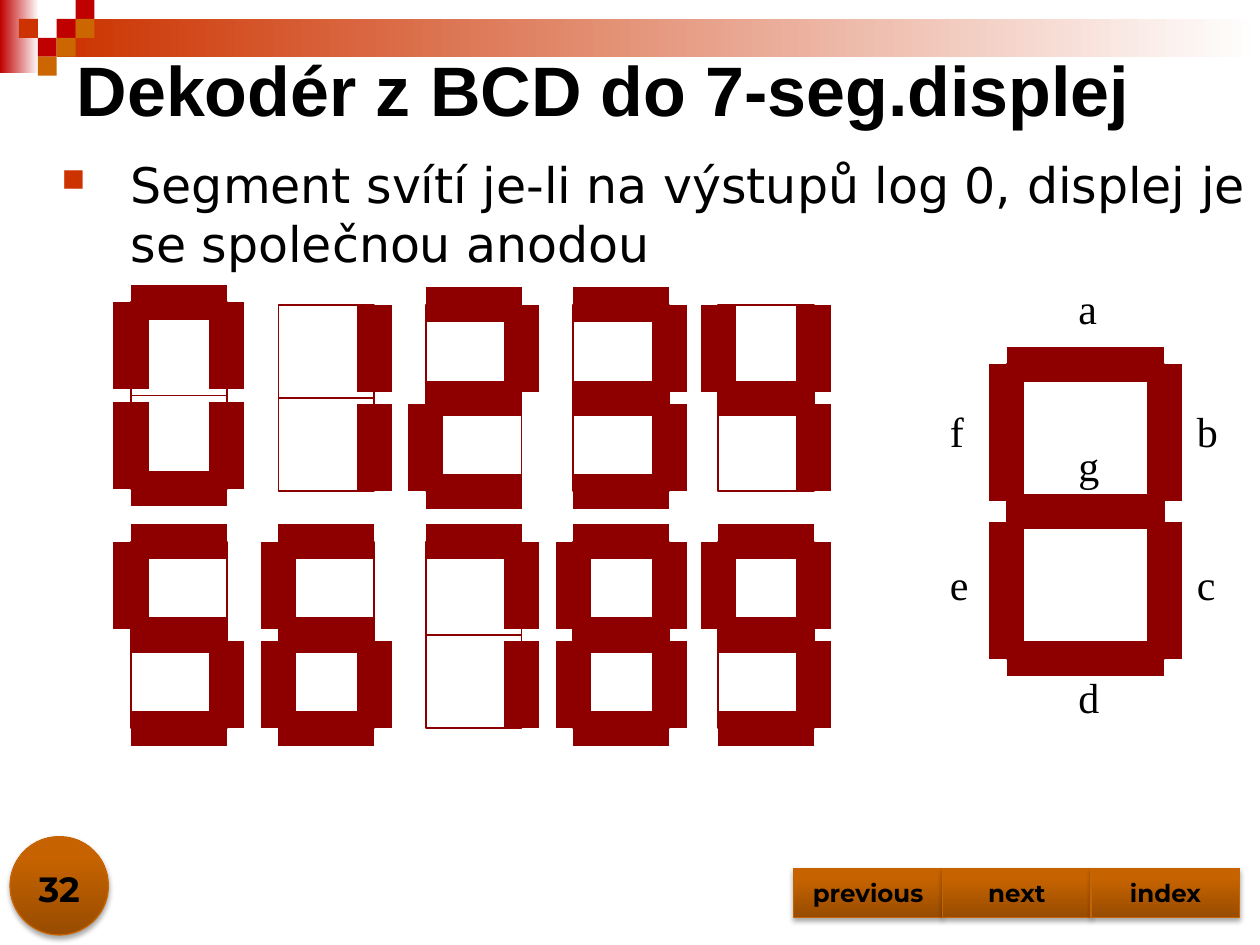
from dataclasses import dataclass

import pptx
import pptx.dml.color
import pptx.enum.shapes
import pptx.enum.text
import pptx.oxml
import pptx.oxml.ns
import pptx.util
from pptx.util import Inches

SHAPE = pptx.enum.shapes.MSO_SHAPE
ANCHOR = pptx.enum.text.MSO_ANCHOR
ALIGN = pptx.enum.text.PP_ALIGN
DARK_RED, RED, ORANGE, BROWN = "8E0000", "C00000", "CC3300", "CC6600"
BLACK, WHITE = "000000", "FFFFFF"


@dataclass(frozen=True)
class Display:
    left: float
    top: float
    lit: str
    width: float = 0.76
    cell: float = 0.74
    gap: float = 0.05

    def segments(self) -> dict:
        """End points of the seven segments, named a to g."""
        left, right = self.left, self.left + self.width
        top, middle = self.top, self.top + self.cell
        bottom = middle + self.cell
        upper, lower = middle - self.gap, middle + self.gap
        return {
            "a": (left, top, right, top),
            "b": (right, top, right, upper),
            "c": (right, lower, right, bottom),
            "d": (left, bottom, right, bottom),
            "e": (left, lower, left, bottom),
            "f": (left, top, left, upper),
            "g": (left, middle, right, middle),
        }


@dataclass(frozen=True)
class Label:
    text: str
    left: float
    top: float
    width: float


def rgb(value: str) -> pptx.dml.color.RGBColor:
    return pptx.dml.color.RGBColor.from_string(value)


def add_xml(parent, xml: str) -> None:
    parent.append(pptx.oxml.parse_xml(
        xml.replace(" NS", " " + pptx.oxml.ns.nsdecls("a"), 1)))


def add_shape(shapes, kind, left: float, top: float, width: float, height: float):
    shape = shapes.add_shape(kind, Inches(left), Inches(top), Inches(width), Inches(height))
    shape.shadow.inherit = False
    return shape


def set_gradient(shape, start: str, end: str, angle: int = 0, end_at: float = 1) -> None:
    shape.fill.gradient()
    shape.fill.gradient_angle = angle
    for stop, color, position in zip(shape.fill.gradient_stops, (start, end), (0, end_at)):
        stop.color.rgb = rgb(color)
        stop.position = position


def style_button(shape) -> None:
    set_gradient(shape, "984C00", "C66300", angle=90, end_at=0.8)
    shape.line.color.rgb = rgb("C86400")
    shape.line.width = pptx.util.Pt(0.75)
    effects = shape._element.spPr.find(pptx.oxml.ns.qn("a:effectLst"))
    add_xml(effects, '<a:outerShdw NS blurRad="39400" dist="22900" dir="5400000" rotWithShape="0">'
                     '<a:srgbClr val="000000"><a:alpha val="35000"/></a:srgbClr></a:outerShdw>')


def set_text(shape, text: str, size: int, font: str, bold: bool = False,
             align=ALIGN.LEFT, anchor=ANCHOR.TOP, wrap: bool = True):
    frame = shape.text_frame
    frame.text = text
    frame.word_wrap = wrap
    frame.vertical_anchor = anchor
    para = frame.paragraphs[0]
    para.alignment = align
    span = para.runs[0]
    span.font.size = pptx.util.Pt(size)
    span.font.name = font
    span.font.bold = bold
    span.font.color.rgb = rgb(BLACK)
    return para


def add_text(shapes, text: str, left: float, top: float, width: float, height: float,
             size: int, font: str, **options):
    box = shapes.add_textbox(Inches(left), Inches(top), Inches(width), Inches(height))
    return set_text(box, text, size, font, **options)


def draw_display(page, display: Display):
    """Draw two thin cells and the thick lit segments as one group."""
    shapes = page.shapes.add_group_shape().shapes
    for row in range(2):
        cell = add_shape(shapes, SHAPE.RECTANGLE, display.left,
                         display.top + row * display.cell, display.width, display.cell)
        cell.fill.background()
        cell.line.color.rgb = rgb(DARK_RED)
        cell.line.width = pptx.util.Pt(1)
    segments = display.segments()
    for name in display.lit:
        line = shapes.add_connector(pptx.enum.shapes.MSO_CONNECTOR.STRAIGHT,
                                    *(Inches(value) for value in segments[name]))
        line.line.color.rgb = rgb(DARK_RED)
        line.line.width = pptx.util.Pt(20)
        add_xml(line._element.spPr, "<a:effectLst NS/>")
    return shapes


def draw_header(page) -> None:
    shapes = page.shapes.add_group_shape().shapes
    for color, *place in ((RED, 0, 0, 0.31, 0.58), (ORANGE, 0.45, 0.15, 9.55, 0.3)):
        band = add_shape(shapes, SHAPE.RECTANGLE, *place)
        set_gradient(band, color, WHITE)
        band.line.fill.background()
    # Small squares on a grid: column, row, colour
    side = 0.15
    for column, row, color in ((3, 1, RED), (4, 0, RED), (4, 1, BROWN), (2, 2, RED),
                               (1, 1, ORANGE), (3, 2, BROWN), (2, 3, BROWN)):
        square = add_shape(shapes, SHAPE.RECTANGLE, column * side, row * side, side, side)
        square.fill.solid()
        square.fill.fore_color.rgb = rgb(color)
        square.line.fill.background()


def main() -> None:
    deck = pptx.Presentation()
    deck.slide_width, deck.slide_height = Inches(10), Inches(7.5)
    page = deck.slides.add_slide(deck.slide_layouts[6])
    draw_header(page)

    # Title and bullet
    add_text(page.shapes, "Dekodér z BCD do 7-seg.displej", 0.51, 0.31, 9.41, 0.79,
             40, "Arial", bold=True, anchor=ANCHOR.MIDDLE)
    para = add_text(page.shapes,
                    "Segment svítí je-li na výstupů log 0, displej je se společnou anodou",
                    0.39, 1.18, 9.64, 1.04, 28, "DejaVu Sans")
    properties = para._p.get_or_add_pPr()
    properties.set("marL", str(Inches(0.55)))
    properties.set("indent", str(-Inches(0.55)))
    add_xml(properties, f'<a:buClr NS><a:srgbClr val="{ORANGE}"/></a:buClr>')
    add_xml(properties, '<a:buSzPct NS val="65000"/>')
    add_xml(properties, '<a:buChar NS char="■"/>')

    # Large display with named segments
    large = draw_display(page, Display(7.99, 2.89, "abcdefg", 1.25, 1.17, 0.08))
    for label in (Label("a", 8.46, 2.19, 0.35), Label("b", 9.4, 3.17, 0.37),
                  Label("c", 9.4, 4.38, 0.35), Label("d", 8.46, 5.28, 0.37),
                  Label("e", 7.44, 4.38, 0.35), Label("f", 7.44, 3.17, 0.31),
                  Label("g", 8.46, 3.44, 0.37)):
        add_text(large, label.text, label.left, label.top, label.width, 0.5,
                 24, "Times New Roman", wrap=False)

    # Digits 0 to 9 in two rows
    columns = (1.04, 2.21, 3.38, 4.55, 5.7)
    digits = ("abcdef", "bc", "abdeg", "abcdg", "bcfg",
              "acdfg", "acdefg", "abc", "abcdefg", "abcdfg")
    for digit, lit in enumerate(digits):
        row, column = divmod(digit, len(columns))
        top = 2.4 if digit == 0 else (2.42, 4.3)[row]
        draw_display(page, Display(columns[column], top, lit))

    # Slide number
    style_button(add_shape(page.shapes, SHAPE.OVAL, 0.08, 6.64, 0.78, 0.78))
    add_text(page.shapes, "32", 0, 6.77, 0.94, 0.5, 20, "Montserrat", bold=True,
             align=ALIGN.CENTER, anchor=ANCHOR.BOTTOM)

    # Navigation buttons
    width = 1.18
    for place, name in enumerate(("previous", "next", "index")):
        button = add_shape(page.shapes, SHAPE.ACTION_BUTTON_CUSTOM,
                           6.3 + place * width, 6.89, width, 0.39)
        style_button(button)
        set_text(button, name, 14, "Montserrat", bold=True,
                 align=ALIGN.CENTER, anchor=ANCHOR.MIDDLE)

    deck.save("out.pptx")


if __name__ == "__main__":
    main()
